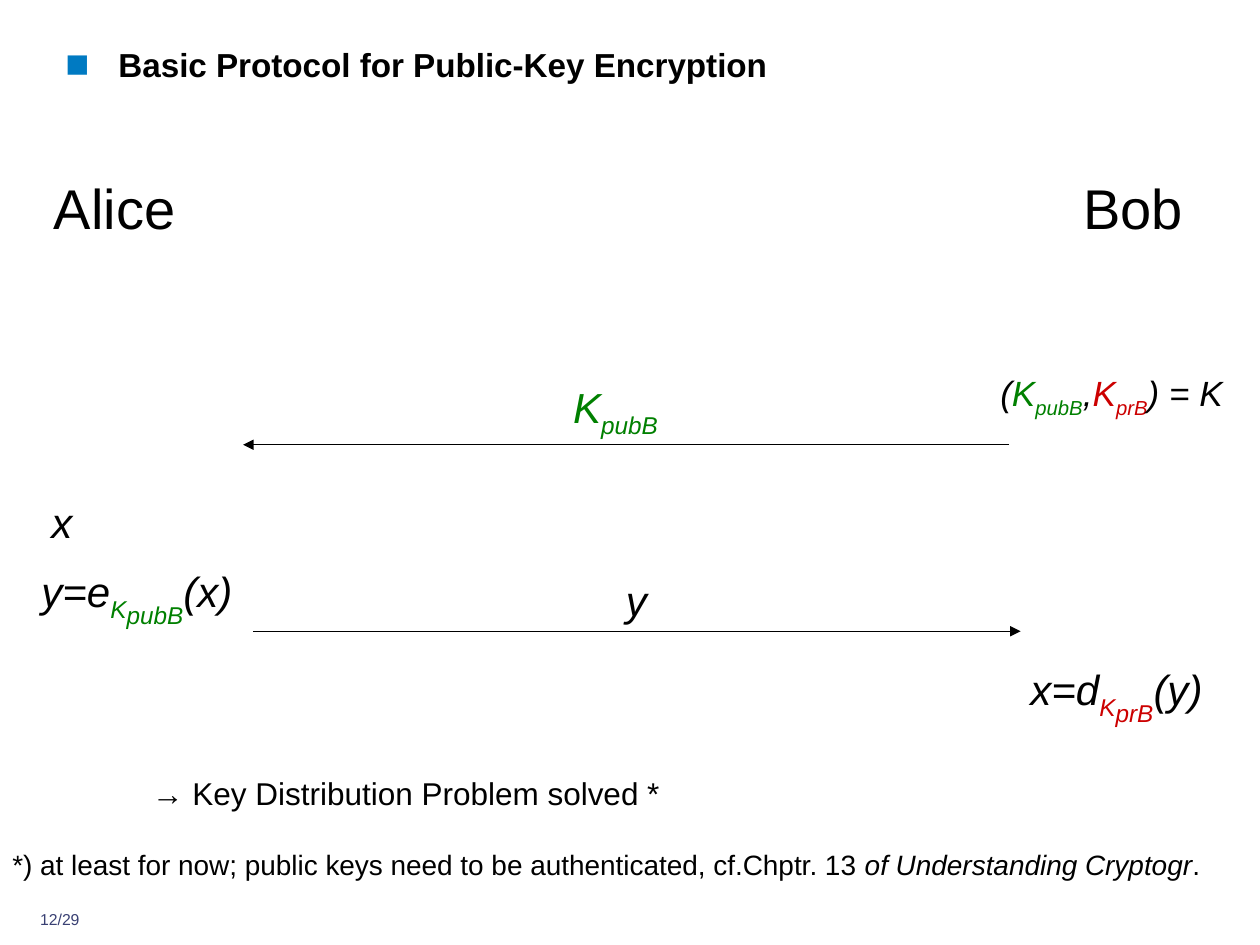
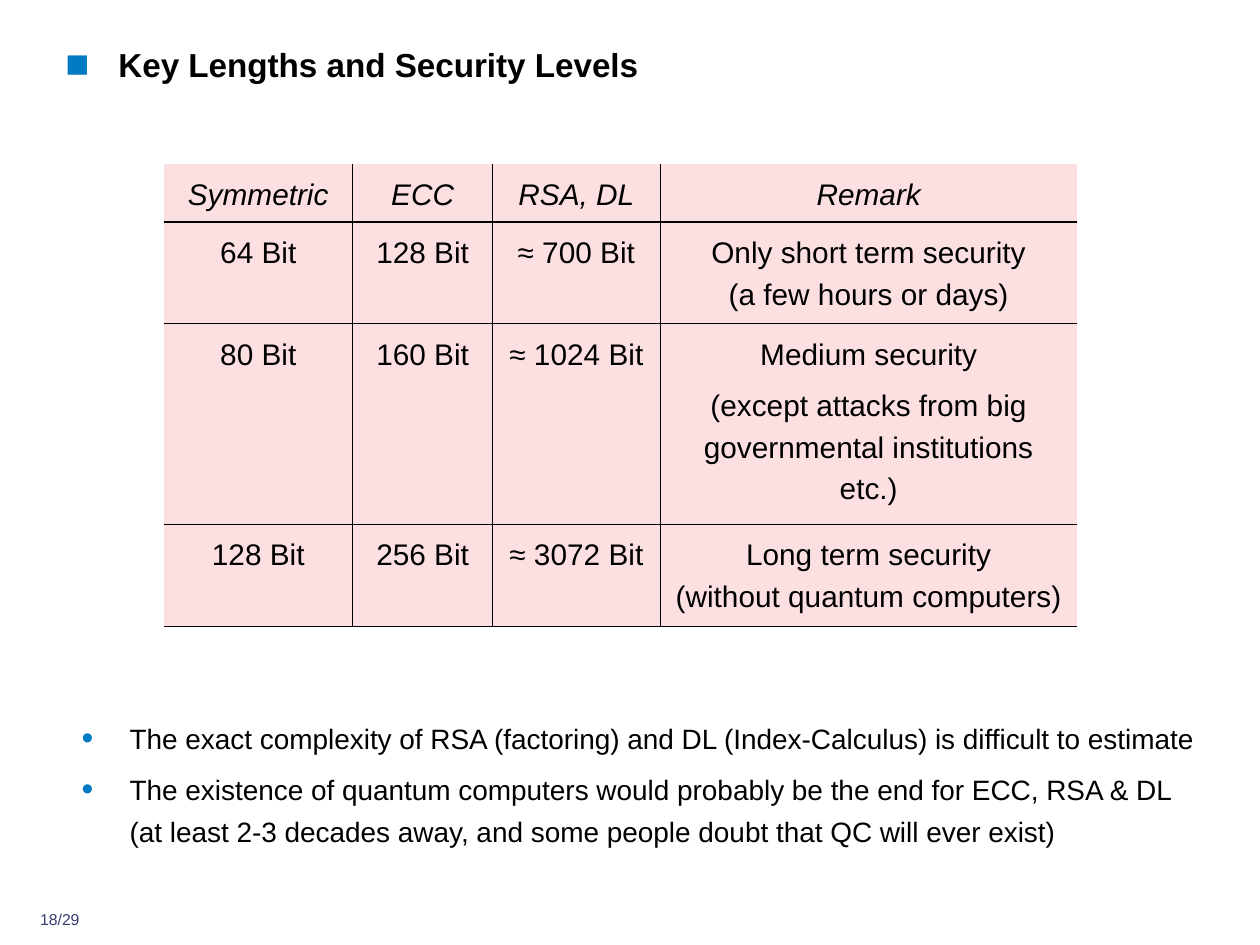
from dataclasses import dataclass
from typing import NamedTuple

from pptx import Presentation
from pptx.dml.color import RGBColor
from pptx.enum.shapes import MSO_CONNECTOR
from pptx.enum.text import PP_ALIGN
from pptx.oxml.xmlchemy import OxmlElement
from pptx.slide import Slide
from pptx.table import _Cell
from pptx.text.text import TextFrame, _Paragraph, _Run
from pptx.util import Inches, Pt

FONT = "Arial"
BLACK = RGBColor(0x00, 0x00, 0x00)
BULLET_BLUE = RGBColor(0x00, 0x7A, 0xC2)
PAGE_BLUE = RGBColor(0x39, 0x40, 0x73)
PUBLIC_GREEN = RGBColor(0x00, 0x80, 0x00)
PRIVATE_RED = RGBColor(0xCC, 0x00, 0x00)
CELL_PINK = RGBColor(0xFC, 0xE0, 0xE1)

THIN, THICK = 0.45, 1.08
COLUMN_WIDTHS = (1.5, 1.11, 1.33, 3.31)
ROW_HEIGHTS = (0.46, 0.81, 1.59, 0.81)
KEY_LENGTHS = (
    ("Symmetric", "ECC", "RSA, DL", "Remark"),
    ("64 Bit", "128 Bit", "≈ 700 Bit", "Only short term security\v(a few hours or days)"),
    ("80 Bit", "160 Bit", "≈ 1024 Bit",
     "Medium security\n(except attacks from big governmental institutions etc.)"),
    ("128 Bit", "256 Bit", "≈ 3072 Bit", "Long term security\v(without quantum computers)"),
)
REMARKS = (
    "The exact complexity of RSA (factoring) and DL (Index-Calculus) is difficult to estimate",
    "The existence of quantum computers would probably be the end for ECC, RSA & DL "
    "(at least 2-3 decades away, and some people doubt that QC will ever exist)",
)


class Span(NamedTuple):
    """A piece of text with its own colour, slant and baseline shift in percent."""
    text: str
    color: RGBColor = BLACK
    italic: bool = True
    baseline: int = 0


class Area(NamedTuple):
    """A place on the slide, in inches."""
    left: float
    top: float
    width: float
    height: float


@dataclass(frozen=True)
class Label:
    """A one-line text made of spans."""
    area: Area
    size: float
    spans: tuple[Span, ...]
    align: PP_ALIGN = PP_ALIGN.LEFT


@dataclass(frozen=True)
class Message:
    """A horizontal arrow between the two parties."""
    start: float
    end: float
    y: float


LABELS = (
    Label(Area(0.33, 1.33, 1.33, 0.64), 32, (Span("Alice", italic=False),)),
    Label(Area(8.5, 1.33, 1.08, 0.64), 32, (Span("Bob", italic=False),)),
    Label(Area(7.84, 2.9, 2.42, 0.48), 20, (
        Span("("), Span("K", PUBLIC_GREEN), Span("pubB", PUBLIC_GREEN, baseline=-25), Span(","),
        Span("K", PRIVATE_RED), Span("prB", PRIVATE_RED, baseline=-25), Span(") = K"))),
    Label(Area(4.45, 2.98, 1.17, 0.56), 24, (
        Span("K", PUBLIC_GREEN), Span("pubB", PUBLIC_GREEN, baseline=-25))),
    Label(Area(0.31, 3.89, 0.83, 0.5), 24, (Span("x"),)),
    Label(Area(0.23, 4.44, 1.92, 0.61), 24, (
        Span("y=e"), Span("K", PUBLIC_GREEN, baseline=-25),
        Span("pubB", PUBLIC_GREEN, baseline=-40), Span("(x)"))),
    Label(Area(4.51, 4.51, 1.08, 0.5), 24, (Span("y"),), PP_ALIGN.CENTER),
    Label(Area(8.08, 5.22, 1.92, 0.61), 24, (
        Span("x=d"), Span("K", PRIVATE_RED, baseline=-25),
        Span("prB", PRIVATE_RED, baseline=-40), Span("(y)"))),
)
MESSAGES = (Message(8.01, 1.93, 3.53), Message(2.01, 8.1, 5.01))
FOOTNOTE = (
    Span("*) at least for now; public keys need to be authenticated, cf.Chptr. 13 ", italic=False),
    Span("of Understanding Cryptogr"),
    Span(".", italic=False),
)


def style_run(run: _Run, size: float, color: RGBColor = BLACK,
              bold: bool = False, italic: bool = False) -> None:
    """Set the font of a run."""
    run.font.name = FONT
    run.font.size = Pt(size)
    run.font.color.rgb = color
    run.font.bold = bold
    run.font.italic = italic


def style_frame(frame: TextFrame, size: float, color: RGBColor = BLACK,
                bold: bool = False, italic: bool = False) -> None:
    """Set the font of every run in a frame."""
    for para in frame.paragraphs:
        for run in para.runs:
            style_run(run, size, color, bold, italic)


def add_text_frame(page: Slide, area: Area, padded: bool = True) -> TextFrame:
    """Add a wrapping text box and return its frame."""
    box = page.shapes.add_textbox(*(Inches(length) for length in area))
    frame = box.text_frame
    frame.word_wrap = True
    if not padded:
        frame.margin_left = frame.margin_right = 0
        frame.margin_top = frame.margin_bottom = 0
    return frame


def add_spans(para: _Paragraph, spans: tuple[Span, ...], size: float) -> None:
    """Write spans into a paragraph."""
    for span in spans:
        run = para.add_run()
        run.text = span.text
        style_run(run, size, span.color, italic=span.italic)
        if span.baseline:
            run.font._element.set("baseline", str(span.baseline * 1000))


def indent(para: _Paragraph, left: float, first_line: float = 0) -> None:
    """Set the left margin and first-line indent of a paragraph."""
    properties = para._p.get_or_add_pPr()
    properties.set("marL", str(Inches(left)))
    properties.set("indent", str(Inches(first_line)))


def add_bullet(para: _Paragraph, symbol: str, hang: float) -> None:
    """Give a paragraph a blue bullet with a hanging indent."""
    indent(para, hang, -hang)
    color = OxmlElement("a:buClr")
    value = OxmlElement("a:srgbClr")
    value.set("val", str(BULLET_BLUE))
    color.append(value)
    size = OxmlElement("a:buSzPct")
    size.set("val", "120000")
    font = OxmlElement("a:buFont")
    font.set("typeface", FONT)
    character = OxmlElement("a:buChar")
    character.set("char", symbol)
    para._p.get_or_add_pPr().extend((color, size, font, character))


def add_page(deck: Presentation, title: str, number: str) -> Slide:
    """Add a slide with its page number and bulleted title."""
    page = deck.slides.add_slide(deck.slide_layouts[6])
    footer = add_text_frame(page, Area(0.2, 7.22, 0.55, 0.24), padded=False)
    footer.text = number
    footer.paragraphs[0].alignment = PP_ALIGN.CENTER
    style_frame(footer, 9, PAGE_BLUE)
    heading = add_text_frame(page, Area(0.52, 0.35, 7.07, 0.56), padded=False)
    heading.text = title
    add_bullet(heading.paragraphs[0], "■", 0.42)
    style_frame(heading, 19, bold=True)
    return page


def add_label(page: Slide, label: Label) -> None:
    """Draw a label."""
    para = add_text_frame(page, label.area).paragraphs[0]
    para.alignment = label.align
    add_spans(para, label.spans, label.size)


def add_message(page: Slide, message: Message) -> None:
    """Draw a message arrow."""
    y = Inches(message.y)
    arrow = page.shapes.add_connector(
        MSO_CONNECTOR.STRAIGHT, Inches(message.start), y, Inches(message.end), y)
    arrow.line.color.rgb = BLACK
    arrow.line.width = Pt(0.75)
    head = OxmlElement("a:tailEnd")
    head.set("type", "triangle")
    arrow.line._get_or_add_ln().append(head)
    arrow._element.spPr.append(OxmlElement("a:effectLst"))


def add_border(cell: _Cell, side: str, width: float) -> None:
    """Draw one side of a cell, or hide it when the width is zero."""
    line = OxmlElement(f"a:ln{side}")
    line.set("w", str(Pt(width)))
    fill = OxmlElement("a:solidFill" if width else "a:noFill")
    if width:
        color = OxmlElement("a:srgbClr")
        color.set("val", str(BLACK))
        fill.append(color)
    line.append(fill)
    cell._tc.get_or_add_tcPr().append(line)


def fill_cell(cell: _Cell) -> None:
    """Fill a cell with half-transparent pink."""
    cell.fill.solid()
    cell.fill.fore_color.rgb = CELL_PINK
    alpha = OxmlElement("a:alpha")
    alpha.set("val", "50000")
    cell._tc.tcPr.find(".//{*}srgbClr").append(alpha)


def add_key_table(page: Slide) -> None:
    """Draw the table of key lengths."""
    table = page.shapes.add_table(
        len(ROW_HEIGHTS), len(COLUMN_WIDTHS), Inches(1.3), Inches(1.3),
        Inches(sum(COLUMN_WIDTHS)), Inches(sum(ROW_HEIGHTS))).table
    table.first_row = table.horz_banding = False
    for column, width in zip(table.columns, COLUMN_WIDTHS):
        column.width = Inches(width)
    last = len(COLUMN_WIDTHS) - 1
    for row, (height, texts) in enumerate(zip(ROW_HEIGHTS, KEY_LENGTHS)):
        table.rows[row].height = Inches(height)
        for column, text in enumerate(texts):
            cell = table.cell(row, column)
            cell.text_frame.text = text
            for index, para in enumerate(cell.text_frame.paragraphs):
                para.alignment = PP_ALIGN.CENTER
                para.line_spacing = 1.25
                para.space_before = Pt(5.2 if index else 0)
            style_frame(cell.text_frame, 17, italic=row == 0)
            add_border(cell, "L", THIN if column else 0)
            add_border(cell, "R", THIN if column < last else 0)
            add_border(cell, "T", (0, THICK, THIN, THIN)[row])
            add_border(cell, "B", THIN if row else THICK)
            fill_cell(cell)


def build_protocol(deck: Presentation) -> None:
    """Build the slide on the public-key protocol."""
    page = add_page(deck, "Basic Protocol for Public-Key Encryption", "12/29")
    for message in MESSAGES:
        add_message(page, message)
    for label in LABELS:
        add_label(page, label)
    frame = add_text_frame(page, Area(0, 6.09, 10, 0.97))
    frame.text = "→ Key Distribution Problem solved *"
    indent(frame.paragraphs[0], 1.11)
    style_frame(frame, 18)
    footnote = frame.add_paragraph()
    footnote.space_before = Pt(20.5)
    add_spans(footnote, FOOTNOTE, 16)


def build_key_lengths(deck: Presentation) -> None:
    """Build the slide on key lengths."""
    page = add_page(deck, "Key Lengths and Security Levels", "18/29")
    add_key_table(page)
    frame = add_text_frame(page, Area(0.55, 5.61, 9.05, 1.11))
    frame.text = "\n".join(REMARKS)
    for index, para in enumerate(frame.paragraphs):
        add_bullet(para, "•", 0.38)
        para.line_spacing = 1.25
        para.space_before = Pt(5 if index else 0)
    style_frame(frame, 16)


def main() -> None:
    """Build and save the deck."""
    deck = Presentation()
    deck.slide_width = Inches(10)
    deck.slide_height = Inches(7.5)
    build_protocol(deck)
    build_key_lengths(deck)
    deck.save("out.pptx")


if __name__ == "__main__":
    main()
